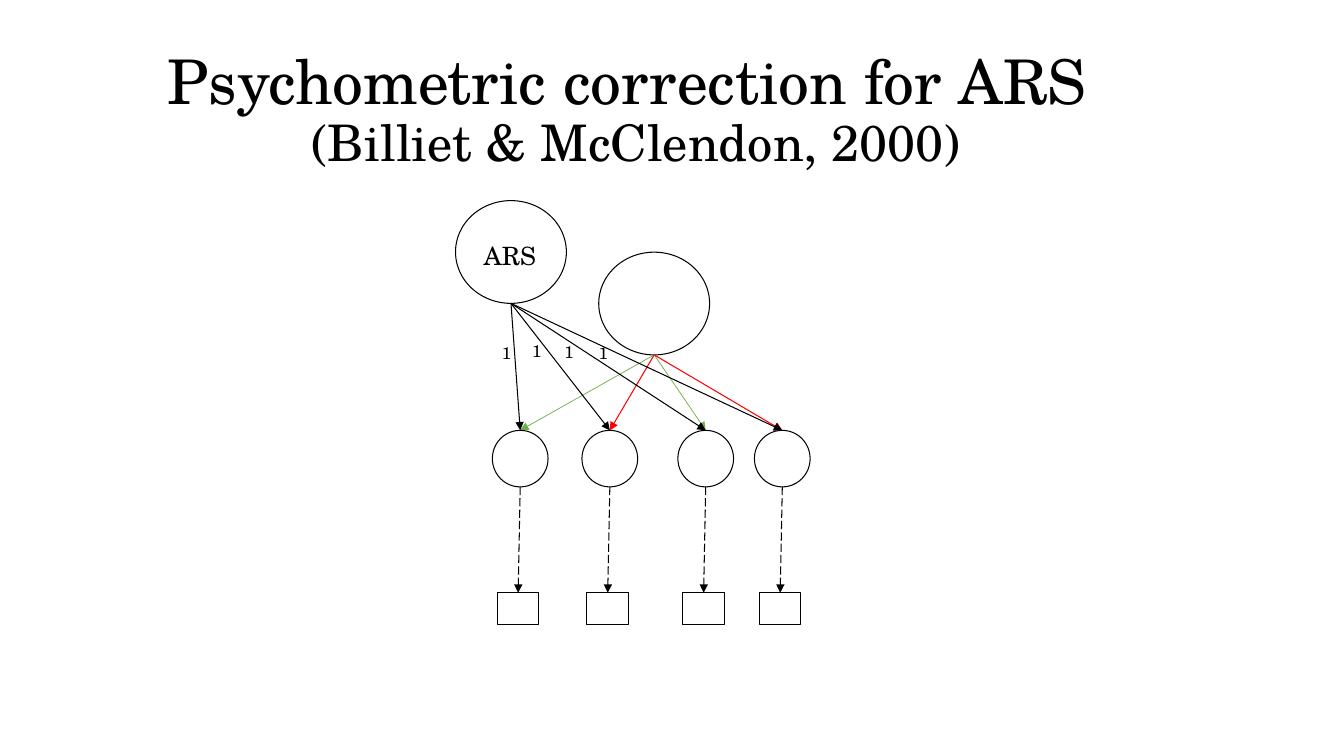
import pptx
import pptx.util
from lxml import etree
from pptx.dml.color import RGBColor
from pptx.enum.dml import MSO_LINE
from pptx.enum.shapes import MSO_CONNECTOR, MSO_SHAPE
from pptx.enum.text import MSO_ANCHOR, PP_ALIGN
from pptx.oxml.ns import qn
from pptx.util import Pt

BLACK = RGBColor(0x00, 0x00, 0x00)
GREEN = RGBColor(0x70, 0xAD, 0x47)
RED = RGBColor(0xFF, 0x00, 0x00)
FONT = "TeX Gyre Schola"

FACTOR_WIDTH, FACTOR_HEIGHT = 79.2, 73.4
ARS_X, ARS_TOP = 365, 143.3
CONTENT_X, CONTENT_TOP = 467.3, 180.1
ITEM_CENTERS = (371.6, 435.6, 504.1, 558.8)
ITEM_TOP, ITEM_WIDTH, ITEM_HEIGHT = 307.4, 39.8, 40.4
BOX_TOP, BOX_WIDTH, BOX_HEIGHT = 423.4, 29.6, 22.8
BOX_SHIFT = -1.5
LOADING_COLORS = (GREEN, RED, GREEN, RED)
LOADING_LABELS = ((351.4, 241.2), (373, 239.6), (396, 240.6), (420.5, 241.2))


def style_run(run, size):
    run.font.name = FONT
    run.font.size = Pt(size)
    run.font.color.rgb = BLACK


def add_text(page, text, left, top, width, height, size):
    box = page.shapes.add_textbox(Pt(left), Pt(top), Pt(width), Pt(height))
    frame = box.text_frame
    frame.word_wrap = True
    frame.margin_right = 0
    frame.text = text
    style_run(frame.paragraphs[0].runs[0], size)


def add_title(page):
    box = page.shapes.add_textbox(Pt(40.3), Pt(27.4), Pt(828), Pt(104.4))
    frame = box.text_frame
    frame.word_wrap = True
    frame.vertical_anchor = MSO_ANCHOR.MIDDLE
    para = frame.paragraphs[0]
    para.text = "Psychometric correction for ARS \v(Billiet & McClendon, 2000)"
    para.alignment = PP_ALIGN.CENTER
    para.line_spacing = 0.9
    for run, size in zip(para.runs, (44, 36)):
        style_run(run, size)


def add_outline(page, kind, center, top, width, height):
    """Draw an unfilled shape centred horizontally on center."""
    shape = page.shapes.add_shape(
        kind, Pt(center - width / 2), Pt(top), Pt(width), Pt(height))
    shape.shadow.inherit = False
    shape.fill.background()
    shape.line.color.rgb = BLACK
    shape.line.width = Pt(0.75)


def add_arrow(page, start, end, color=BLACK, width=0.75, dash=None):
    arrow = page.shapes.add_connector(
        MSO_CONNECTOR.STRAIGHT, *(Pt(value) for value in start + end))
    arrow.line.color.rgb = color
    arrow.line.width = Pt(width)
    if dash:
        arrow.line.dash_style = dash
    outline = arrow.line._get_or_add_ln()
    etree.SubElement(outline, qn("a:tailEnd"), type="triangle")
    etree.SubElement(arrow._element.spPr, qn("a:effectLst"))


def add_factor(page, center, top):
    """Draw a factor circle and return its lowest point."""
    add_outline(page, MSO_SHAPE.OVAL, center, top, FACTOR_WIDTH, FACTOR_HEIGHT)
    return center, top + FACTOR_HEIGHT


def add_item(page, center):
    """Draw a latent item with a dashed arrow to its observed box."""
    box_center = center + BOX_SHIFT
    add_outline(page, MSO_SHAPE.RECTANGLE, box_center, BOX_TOP, BOX_WIDTH, BOX_HEIGHT)
    add_outline(page, MSO_SHAPE.OVAL, center, ITEM_TOP, ITEM_WIDTH, ITEM_HEIGHT)
    add_arrow(page, (center, ITEM_TOP + ITEM_HEIGHT), (box_center, BOX_TOP),
              dash=MSO_LINE.LONG_DASH)


def main():
    deck = pptx.Presentation()
    deck.slide_width, deck.slide_height = Pt(960), Pt(540)
    page = deck.slides.add_slide(deck.slide_layouts[6])

    add_title(page)
    content_foot = add_factor(page, CONTENT_X, CONTENT_TOP)
    for center, color in zip(ITEM_CENTERS, LOADING_COLORS):
        width = 0.5 if color == GREEN else 0.75
        add_arrow(page, content_foot, (center, ITEM_TOP), color, width)
    for center in ITEM_CENTERS:
        add_item(page, center)

    ars_foot = add_factor(page, ARS_X, ARS_TOP)
    for center in ITEM_CENTERS:
        add_arrow(page, ars_foot, (center, ITEM_TOP))
    add_text(page, "ARS", 338.4, 167.8, 61.2, 28.8, 18)
    for left, top in LOADING_LABELS:
        add_text(page, "1", left, top, 14.4, 21.6, 12)

    deck.save("out.pptx")


if __name__ == "__main__":
    main()
